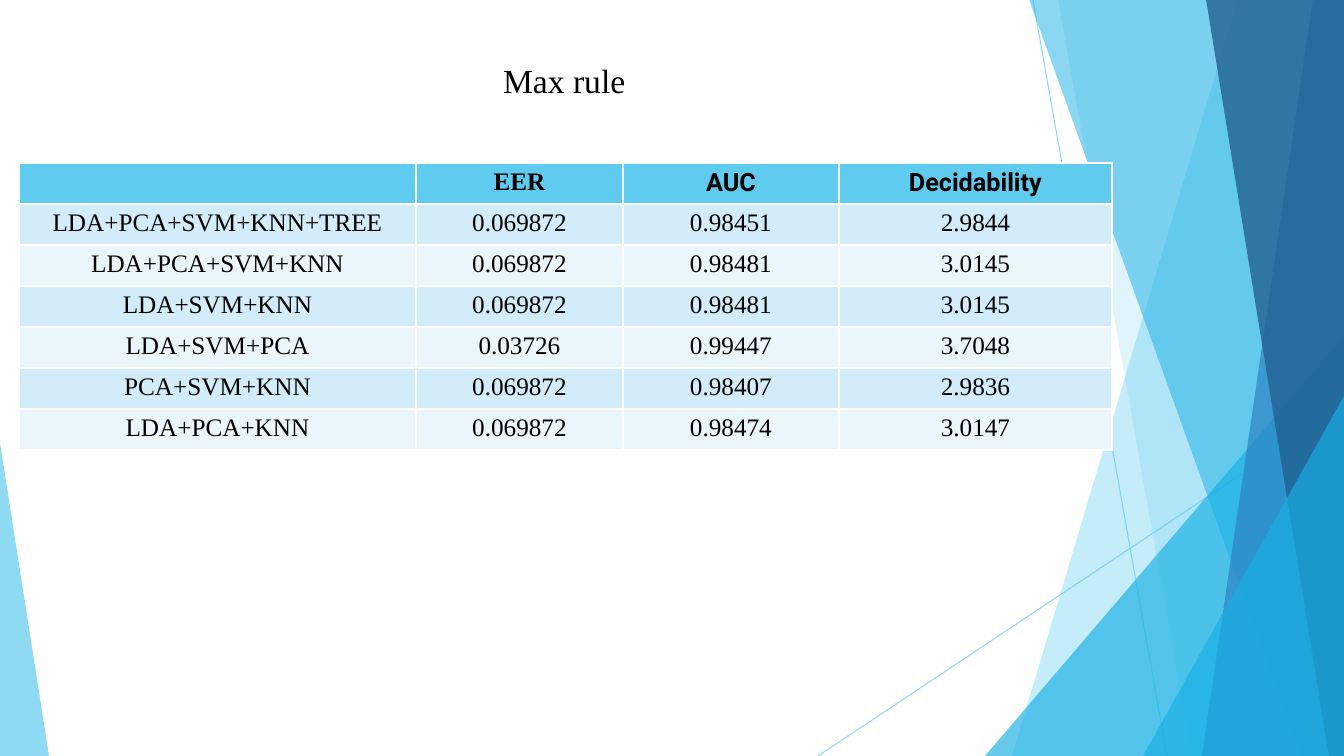
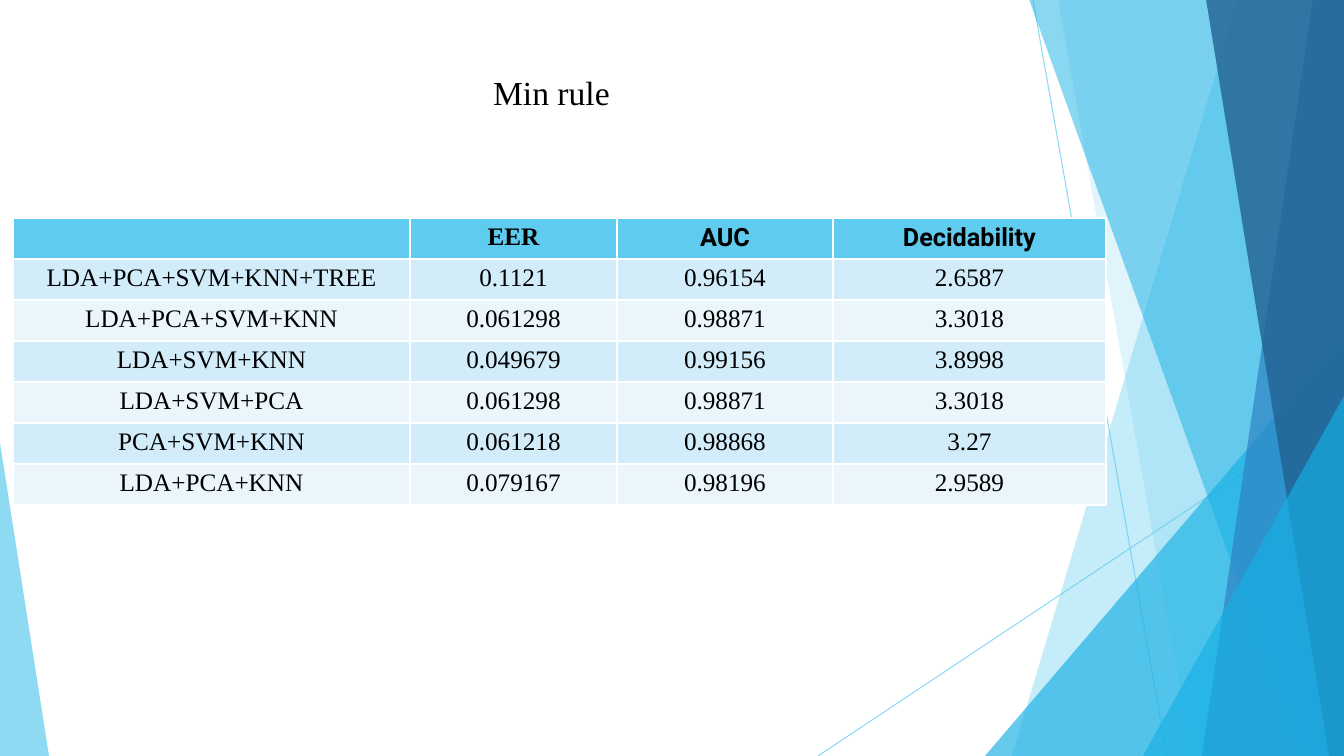
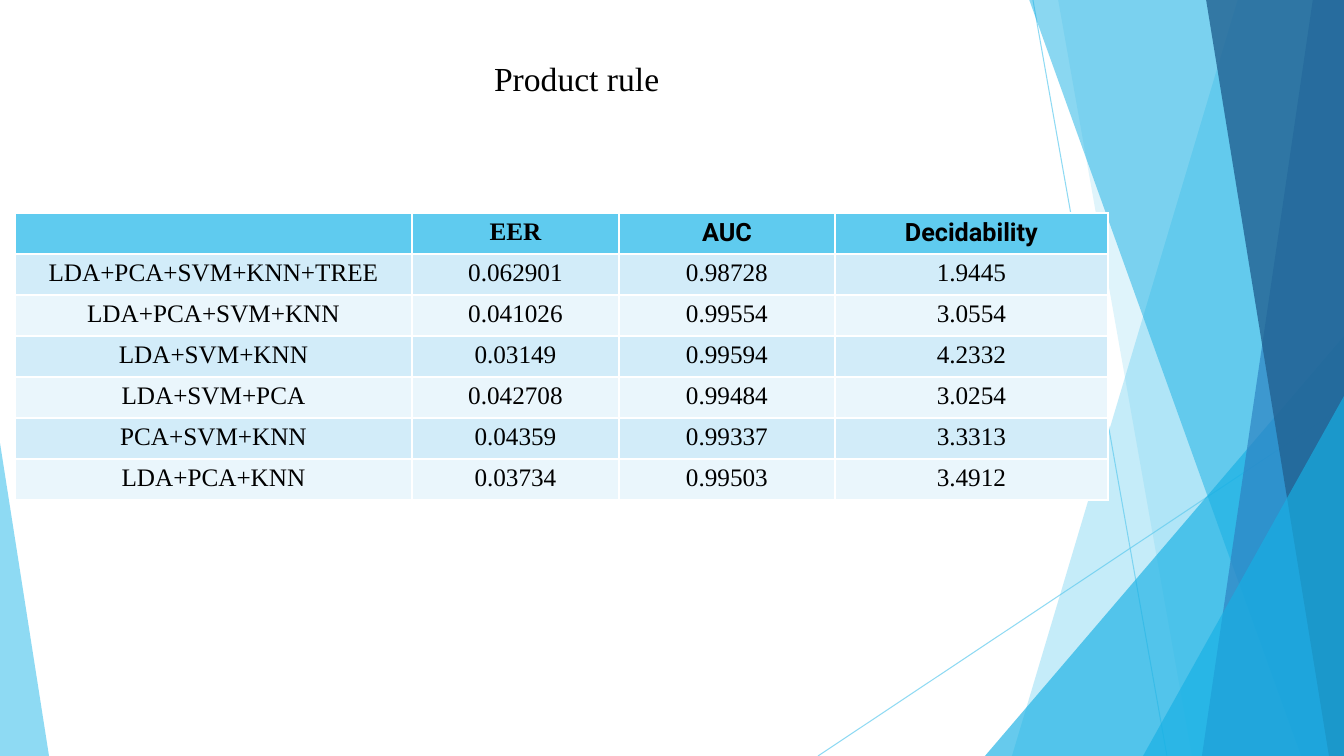
from lxml.etree import SubElement
from pptx import Presentation
from pptx.dml.color import RGBColor
from pptx.enum.shapes import MSO_CONNECTOR, MSO_SHAPE
from pptx.enum.text import MSO_ANCHOR, MSO_AUTO_SIZE, PP_ALIGN
from pptx.oxml.ns import qn
from pptx.util import Pt

SLIDE_W, SLIDE_H = 1344, 756
SCALE = 12192000 / SLIDE_W  # EMU per px

COLORS = {
    "sky": "5FCBEF",
    "cyan": "17B0E4",
    "blue": "2E83C3",
    "navy": "226292",
    "band_dark": "D2ECF9",
    "band_light": "EAF6FC",
    "text": "000000",
}
SERIF, SANS = "Times New Roman", "Roboto"

# Background facets, back to front
RAYS = [(1033, 0, 1167, 756), (1344, 406, 818, 756)]
FACETS = [  # band: top x, bottom x; triangle: box and apex
    ("band", (1238, 1012), "sky", 36),
    ("band", (1058, 1192), "sky", 20),
    ("triangle", (985, 336, 359, 420, 1), "cyan", 66),
    ("band", (1029, 1301), "cyan", 50),
    ("band", (1313, 1202), "blue", 70),
    ("band", (1206, 1329), "navy", 80),
    ("triangle", (1143, 396, 201, 360, 1), "cyan", 66),
    ("triangle", (0, 443, 49, 313, 0), "sky", 70),
]

# Table content
COLUMNS = [("", SERIF, 397), ("EER", SERIF, 207),
           ("AUC", SANS, 216), ("Decidability", SANS, 273)]
ROW_H = 41
METHODS = ["LDA+PCA+SVM+KNN+TREE", "LDA+PCA+SVM+KNN", "LDA+SVM+KNN",
           "LDA+SVM+PCA", "PCA+SVM+KNN", "LDA+PCA+KNN"]
RULES = [  # title, title box, table corner, scores per method
    ("Max rule", (493, 55, 144, 50), (19, 163), [
        ("0.069872", "0.98451", "2.9844"),
        ("0.069872", "0.98481", "3.0145"),
        ("0.069872", "0.98481", "3.0145"),
        ("0.03726", "0.99447", "3.7048"),
        ("0.069872", "0.98407", "2.9836"),
        ("0.069872", "0.98474", "3.0147"),
    ]),
    ("Min rule", (483, 67, 138, 50), (13, 218), [
        ("0.1121", "0.96154", "2.6587"),
        ("0.061298", "0.98871", "3.3018"),
        ("0.049679", "0.99156", "3.8998"),
        ("0.061298", "0.98871", "3.3018"),
        ("0.061218", "0.98868", "3.27"),
        ("0.079167", "0.98196", "2.9589"),
    ]),
    ("Product rule", (484, 53, 187, 50), (15, 213), [
        ("0.062901", "0.98728", "1.9445"),
        ("0.041026", "0.99554", "3.0554"),
        ("0.03149", "0.99594", "4.2332"),
        ("0.042708", "0.99484", "3.0254"),
        ("0.04359", "0.99337", "3.3313"),
        ("0.03734", "0.99503", "3.4912"),
    ]),
]


def px(*lengths):
    return [round(length * SCALE) for length in lengths]


def rgb(name):
    return RGBColor.from_string(COLORS[name])


def set_opacity(shape, percent):
    for color in shape.element.iter(qn("a:srgbClr")):
        SubElement(color, qn("a:alpha")).set("val", str(percent * 1000))


def add_run(paragraph, text, font_name, size, bold=False):
    run = paragraph.add_run()
    run.text = text
    run.font.name, run.font.size, run.font.bold = font_name, Pt(size), bold
    run.font.color.rgb = rgb("text")


def add_ray(shapes, ends):
    ray = shapes.add_connector(MSO_CONNECTOR.STRAIGHT, *px(*ends))
    ray.line.color.rgb = rgb("sky")
    ray.line.width = Pt(0.75)
    set_opacity(ray, 70)
    SubElement(ray.element.spPr, qn("a:effectLst"))


def add_facet(shapes, kind, geometry, color, opacity):
    if kind == "band":
        top_x, bottom_x = geometry
        outline = shapes.build_freeform(top_x, -1, scale=SCALE)
        outline.add_line_segments(
            [(SLIDE_W, -1), (SLIDE_W, SLIDE_H), (bottom_x, SLIDE_H)])
        facet = outline.convert_to_shape()
    else:
        *box, apex = geometry
        facet = shapes.add_shape(MSO_SHAPE.ISOSCELES_TRIANGLE, *px(*box))
        facet.adjustments[0] = apex
    facet.shadow.inherit = False
    facet.fill.solid()
    facet.fill.fore_color.rgb = rgb(color)
    facet.line.fill.background()
    set_opacity(facet, opacity)


def move_background_to_layout(slide):
    """Draw the facets as one group and hand it to the slide's layout."""
    layout = slide.slide_layout
    for placeholder in list(layout.placeholders)[1:]:  # keep the title only
        layout.shapes.element.remove(placeholder.element)
    background = slide.shapes.add_group_shape()
    for ends in RAYS:
        add_ray(background.shapes, ends)
    for facet in FACETS:
        add_facet(background.shapes, *facet)
    layout.shapes.element.append(background.element)


def place_title(slide, text, box):
    title = slide.shapes.title
    title.left, title.top, title.width, title.height = px(*box)
    frame = title.text_frame
    frame.word_wrap = False
    frame.auto_size = MSO_AUTO_SIZE.SHAPE_TO_FIT_TEXT
    frame.vertical_anchor = MSO_ANCHOR.TOP
    paragraph = frame.paragraphs[0]
    paragraph.alignment = PP_ALIGN.LEFT
    add_run(paragraph, text, SERIF, 24)


def fill_cell(cell, text, color, font_name=SERIF, bold=False):
    cell.fill.solid()
    cell.fill.fore_color.rgb = rgb(color)
    paragraph = cell.text_frame.paragraphs[0]
    paragraph.alignment = PP_ALIGN.CENTER
    if text:
        add_run(paragraph, text, font_name, 18, bold)


def place_scores(slide, corner, scores):
    width = sum(column_w for _, _, column_w in COLUMNS)
    height = ROW_H * (len(METHODS) + 1)
    table = slide.shapes.add_table(
        len(METHODS) + 1, len(COLUMNS), *px(*corner, width, height)).table
    for row in table.rows:
        row.height, = px(ROW_H)
    # Header
    for c, (heading, font_name, column_w) in enumerate(COLUMNS):
        table.columns[c].width, = px(column_w)
        fill_cell(table.cell(0, c), heading, "sky", font_name, bold=True)
    # Banded body
    for r, (method, values) in enumerate(zip(METHODS, scores), start=1):
        band = "band_dark" if r % 2 else "band_light"
        for c, text in enumerate((method, *values)):
            fill_cell(table.cell(r, c), text, band)


def main():
    deck = Presentation()
    deck.slide_width, deck.slide_height = px(SLIDE_W, SLIDE_H)
    title_only = deck.slide_layouts[5]
    for number, (title, title_box, corner, scores) in enumerate(RULES):
        slide = deck.slides.add_slide(title_only)
        if number == 0:
            move_background_to_layout(slide)
        place_title(slide, title, title_box)
        place_scores(slide, corner, scores)
    deck.save("out.pptx")


if __name__ == "__main__":
    main()
